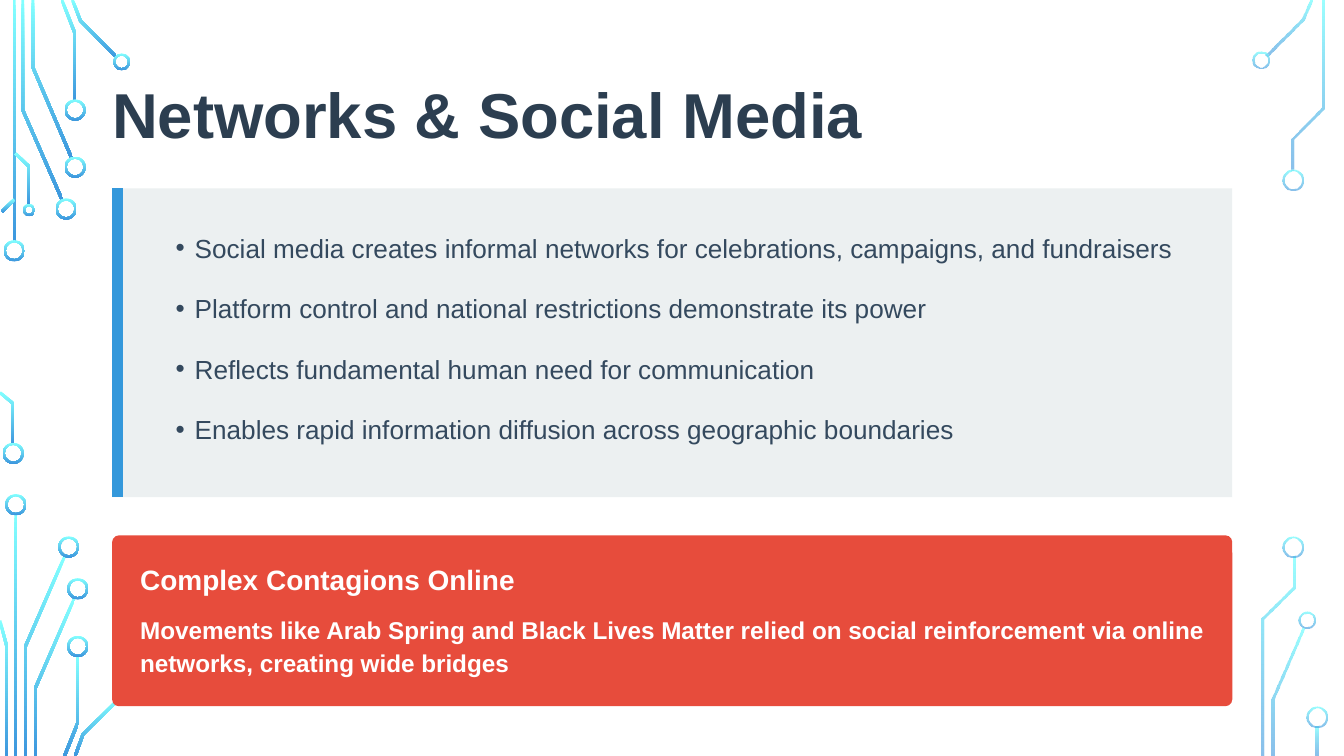
from dataclasses import dataclass, field
from math import hypot

from lxml import etree
from pptx import Presentation
from pptx.dml.color import RGBColor
from pptx.enum.shapes import MSO_CONNECTOR, MSO_SHAPE
from pptx.enum.text import MSO_ANCHOR, PP_ALIGN
from pptx.oxml.ns import qn
from pptx.util import Cm, Pt

RECT, ROUND, DONUT = MSO_SHAPE.RECTANGLE, MSO_SHAPE.ROUNDED_RECTANGLE, MSO_SHAPE.DONUT
STRAIGHT = MSO_CONNECTOR.STRAIGHT
TOP, LEFT = MSO_ANCHOR.TOP, PP_ALIGN.LEFT

WIDE, HIGH = 25.4, 14.29
STROKE = 0.055
GLOW = ("82FFFF", "3D97DE")
SOLID, FADED = (100, 100), (80, 60)


@dataclass
class Ring:
    x: float
    y: float
    size: float = 0.4


@dataclass
class Bar:
    x: float
    top: float
    end: float


@dataclass
class Side:
    alpha: tuple[int, int]
    bars: list[Bar]
    rings: list[Ring]
    wires: list[list[tuple[float, float]]]


@dataclass
class Note:
    box: tuple[float, float, float, float]
    lines: list[str]
    font: dict
    para: dict = field(default_factory=dict)
    bullet: bool = False


SIDES = [
    Side(
        SOLID,
        [Bar(0.27, 0, 4.55), Bar(0.3, 9.7, HIGH)],
        [
            Ring(0.27, 4.74), Ring(0.25, 8.57), Ring(1.25, 3.95), Ring(1.42, 3.16),
            Ring(1.42, 2.08), Ring(2.3, 1.17, 0.32), Ring(0.55, 3.97, 0.23),
            Ring(0.3, 9.54), Ring(1.3, 10.34), Ring(1.47, 11.13), Ring(1.47, 12.22),
        ],
        [
            [(0.43, 0), (0.43, 2.08), (1.17, 3.77)],
            [(0.62, 0), (0.62, 1.27), (1.35, 2.98)],
            [(1.17, 0), (1.42, 0.64), (1.42, 1.9)],
            [(1.37, 0), (1.52, 0.39), (2.2, 1.08)],
            [(0.04, 4), (0.27, 3.77)],
            [(0, 7.42), (0.25, 7.63), (0.25, 8.4)],
            [(0.29, 2.9), (0.55, 3.15), (0.55, 3.86)],
            [(1.22, 10.52), (0.48, 12.22), (0.48, HIGH)],
            [(0, 11.73), (0.13, 12.22), (0.13, HIGH)],
            [(1.4, 11.32), (0.67, 13), (0.67, HIGH)],
            [(1.47, 12.4), (1.47, 13.67), (1.22, HIGH)],
            [(2.25, 13.21), (1.57, 13.88), (1.42, HIGH)],
        ],
    ),
    Side(
        FADED,
        [Bar(24.89, 13.74, HIGH)],
        [
            Ring(23.84, 1.14, 0.32), Ring(24.43, 3.4), Ring(24.7, 11.72, 0.33),
            Ring(24.43, 10.34), Ring(24.89, 13.56),
        ],
        [
            [(24.77, 0), (24.61, 0.37), (23.94, 1.05)],
            [(25.01, 0), (25.01, 2.04), (24.43, 2.63), (24.43, 3.23)],
            [(24.63, 11.87), (24.05, 13.21), (24.05, HIGH)],
            [(24.45, 10.52), (24.45, 11.11), (23.86, 11.7), (23.86, HIGH)],
        ],
    ),
]

TITLE = Note(
    (2.12, 1.42, 21.59, 1.37), ["Networks & Social Media"],
    {"size": Pt(34), "bold": True, "color": "2C3E50"}, {"space_after": Pt(22)},
)
POINTS = Note(
    (2.96, 4.19, 19.69, 4.22),
    [
        "Social media creates informal networks for celebrations, campaigns, and fundraisers",
        "Platform control and national restrictions demonstrate its power",
        "Reflects fundamental human need for communication",
        "Enables rapid information diffusion across geographic boundaries",
    ],
    {"size": Pt(14), "bold": False, "color": "34495E"},
    {"line_spacing": Pt(22.4), "space_after": Pt(10)}, True,
)
HEAD = Note(
    (2.65, 10.64, 20.5, 0.61), ["Complex Contagions Online"],
    {"size": Pt(15), "bold": True, "color": "FFFFFF"}, {"space_after": Pt(8)},
)
BODY = Note(
    (2.65, 11.53, 20.5, 1.3),
    ["Movements like Arab Spring and Black Lives Matter relied on social reinforcement "
     "via online networks, creating wide bridges"],
    {"size": Pt(13), "bold": True, "color": "FFFFFF"}, {"line_spacing": Pt(18.2)},
)


def paint(color, code: str) -> None:
    color.rgb = RGBColor.from_string(code)


def glow(shape, alpha: tuple[int, int]) -> None:
    """Fill with the downward gradient and its opacity in percent."""
    shape.shadow.inherit = False
    shape.line.fill.background()
    shape.fill.gradient()
    shape.fill.gradient_angle = 270
    for stop, code in zip(shape.fill.gradient_stops, GLOW):
        paint(stop.color, code)
    for node, part in zip(shape.element.spPr.iter(qn("a:srgbClr")), alpha):
        if part < 100:
            etree.SubElement(node, qn("a:alpha"), val=str(part * 1000))


def border(wire: list, half: float) -> list:
    """Outline a bent line with mitred corners."""
    norms = []
    for (ax, ay), (bx, by) in zip(wire, wire[1:]):
        size = hypot(bx - ax, by - ay)
        norms.append(((ay - by) / size, (bx - ax) / size))
    near, far = [], []
    for (x, y), (px, py), (qx, qy) in zip(wire, norms[:1] + norms, norms + norms[-1:]):
        scale = half / (1 + px * qx + py * qy)
        dx, dy = (px + qx) * scale, (py + qy) * scale
        near.append((x + dx, y + dy))
        far.append((x - dx, y - dy))
    return near + far[::-1]


def draw_side(shapes, side: Side) -> None:
    for bar in side.bars:
        glow(shapes.add_shape(RECT, Cm(bar.x - STROKE / 2), Cm(bar.top), Cm(STROKE),
                              Cm(bar.end - bar.top)), side.alpha)
    for wire in side.wires:
        first, *rest = [(Cm(x), Cm(y)) for x, y in border(wire, STROKE / 2)]
        pen = shapes.build_freeform(*first)
        pen.add_line_segments(rest, close=True)
        glow(pen.convert_to_shape(), side.alpha)
    for ring in side.rings:
        size = Cm(ring.size)
        shape = shapes.add_shape(DONUT, Cm(ring.x) - size // 2, Cm(ring.y) - size // 2, size, size)
        shape.adjustments[0] = 0.04 / ring.size
        glow(shape, side.alpha)


def draw_panel(shapes, kind, box: tuple, code: str):
    shape = shapes.add_shape(kind, *map(Cm, box))
    shape.shadow.inherit = False
    shape.fill.solid()
    paint(shape.fill.fore_color, code)
    shape.line.fill.background()
    return shape


def draw_stripe(shapes, x: float, top: float, end: float) -> None:
    line = shapes.add_connector(STRAIGHT, Cm(x), Cm(top), Cm(x), Cm(end))
    line.line.width = Pt(6)
    paint(line.line.color, "3498DB")
    etree.SubElement(line.element.spPr, qn("a:effectLst"))


def draw_note(shapes, note: Note) -> None:
    frame = shapes.add_textbox(*map(Cm, note.box)).text_frame
    look = {"word_wrap": True, "vertical_anchor": TOP, "margin_top": 0, "margin_right": 0,
            "margin_bottom": 0, "margin_left": Cm(0.36 if note.bullet else 0)}
    for key, value in look.items():
        setattr(frame, key, value)
    for spot, text in enumerate(note.lines):
        para = frame.add_paragraph() if spot else frame.paragraphs[0]
        for key, value in ({"alignment": LEFT} | note.para).items():
            setattr(para, key, value)
        if note.bullet:
            props = para._p.get_or_add_pPr()
            props.set("marL", str(Cm(0.36)))
            props.set("indent", str(-Cm(0.36)))
            etree.SubElement(props, qn("a:buFont"), typeface="Arial")
            etree.SubElement(props, qn("a:buChar"), char="•")
        run = para.add_run()
        run.text = text
        run.font.name = "Arial"
        for key, value in note.font.items():
            if key == "color":
                paint(run.font.color, value)
            else:
                setattr(run.font, key, value)


def main() -> None:
    deck = Presentation()
    deck.slide_width, deck.slide_height = Cm(WIDE), Cm(HIGH)
    shapes = deck.slides.add_slide(deck.slide_layouts[6]).shapes
    for side in SIDES:
        draw_side(shapes, side)
    draw_note(shapes, TITLE)
    draw_panel(shapes, RECT, (2.12, 3.56, 21.17, 5.84), "ECF0F1")
    draw_stripe(shapes, 2.22, 3.56, 9.4)
    draw_note(shapes, POINTS)
    draw_panel(shapes, ROUND, (2.12, 10.12, 21.17, 3.23), "E74C3C").adjustments[0] = 0.04
    draw_note(shapes, HEAD)
    draw_note(shapes, BODY)
    deck.save("out.pptx")


if __name__ == "__main__":
    main()
